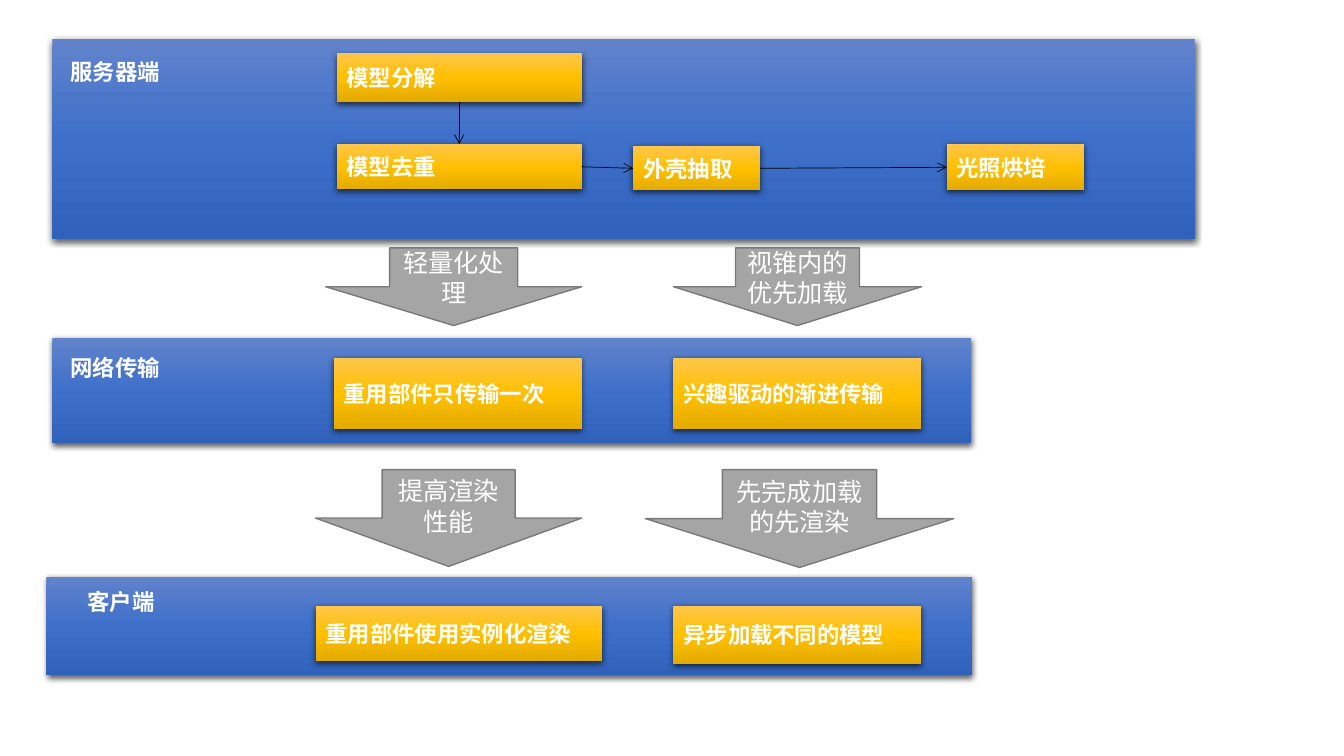
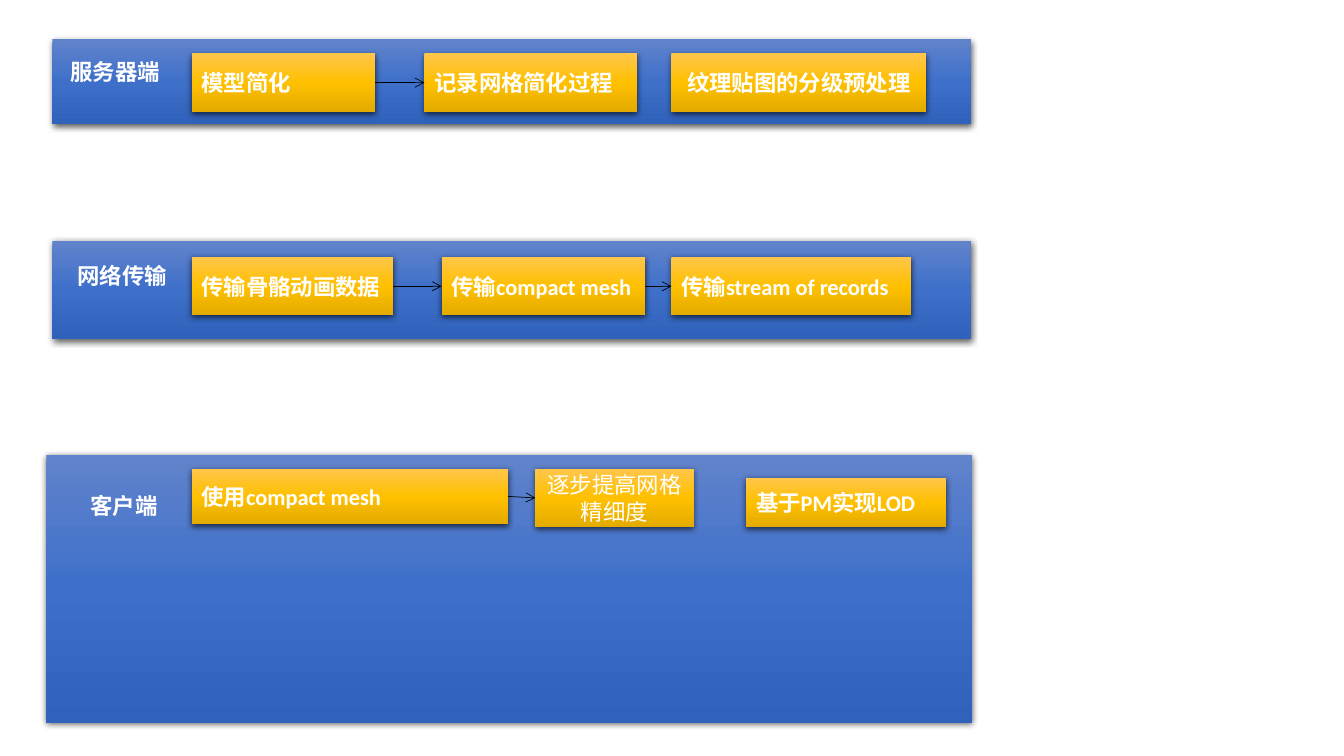
from dataclasses import dataclass, field

from lxml.etree import SubElement
from pptx import Presentation
from pptx.dml.color import RGBColor
from pptx.enum.shapes import MSO_CONNECTOR, MSO_SHAPE
from pptx.enum.text import MSO_ANCHOR, MSO_AUTO_SIZE, PP_ALIGN
from pptx.oxml.ns import qn
from pptx.util import Inches, Pt

WHITE = RGBColor(0xFF, 0xFF, 0xFF)
BLACK = RGBColor(0x00, 0x00, 0x00)
GRAY = RGBColor(0xA5, 0xA5, 0xA5)
GRAY_EDGE = RGBColor(0x7A, 0x7A, 0x7A)
BLUE_STOPS = (RGBColor(0x61, 0x83, 0xCB), RGBColor(0x3E, 0x70, 0xCA), RGBColor(0x30, 0x62, 0xBB))
GOLD_STOPS = (RGBColor(0xFF, 0xC6, 0x4B), RGBColor(0xFF, 0xC0, 0x00), RGBColor(0xE3, 0xAB, 0x00))

STEP_FONT = {"name": "Calibri", "size": Pt(16), "bold": True}
PLAIN_FONT = STEP_FONT | {"bold": False}
CJK_FONT = STEP_FONT | {"name": "Noto Sans CJK SC"}
ARROW_FONT = PLAIN_FONT | {"size": Pt(18)}
SHADOW = {"blurRad": Pt(4.5), "dist": Pt(1.5), "dir": 5400000, "algn": "ctr", "rotWithShape": 0}

TOP, LEFT, BOTTOM, RIGHT = range(4)
ACROSS = (RIGHT, LEFT)
DOWN = (BOTTOM, TOP)


@dataclass
class Step:
    """One text box or step, placed relative to its band."""
    text: str
    box: tuple
    align: PP_ALIGN = PP_ALIGN.LEFT
    font: dict = field(default_factory=lambda: STEP_FONT)


@dataclass
class Band:
    """One stage: its box, label, steps and links between steps."""
    box: tuple
    label: Step
    steps: list
    links: list = field(default_factory=list)


def write_text(shape, text, align, font_format):
    """Write one formatted paragraph into a shape."""
    frame = shape.text_frame
    frame.word_wrap = True
    paragraph = frame.paragraphs[0]
    paragraph.alignment = align
    run = paragraph.add_run()
    run.text = text
    for name, value in font_format.items():
        setattr(run.font, name, value)
    run.font.color.rgb = WHITE
    properties = run._r.get_or_add_rPr()
    SubElement(properties, qn("a:ea"), typeface=font_format["name"])


def add_raised_box(slide, box, colors):
    """Add a rectangle with a vertical gradient and a soft shadow."""
    shape = slide.shapes.add_shape(MSO_SHAPE.RECTANGLE, *map(Inches, box))
    shape.line.fill.background()
    shape.fill.gradient()
    shape.fill.gradient_angle = 270
    shape.shadow.inherit = False
    properties = shape.element.spPr
    stops = properties.find(".//" + qn("a:gsLst"))
    for stop in list(stops):
        stops.remove(stop)
    for index, color in enumerate(colors):
        stop = SubElement(stops, qn("a:gs"), pos=str(index * 50000))
        SubElement(stop, qn("a:srgbClr"), val=str(color))
    effects = properties.find(qn("a:effectLst"))
    shadow = SubElement(effects, qn("a:outerShdw"), {key: str(value) for key, value in SHADOW.items()})
    shadow_color = SubElement(shadow, qn("a:srgbClr"), val=str(BLACK))
    SubElement(shadow_color, qn("a:alpha"), val="63000")
    return shape


def add_link(slide, start, end, sites):
    """Join two steps with a thin arrow."""
    connector = slide.shapes.add_connector(MSO_CONNECTOR.STRAIGHT, 0, 0, 0, 0)
    connector.begin_connect(start, sites[0])
    connector.end_connect(end, sites[1])
    connector.line.color.rgb = BLACK
    connector.line.width = Pt(0.5)
    SubElement(connector.line._get_or_add_ln(), qn("a:tailEnd"), type="arrow")
    SubElement(connector.element.spPr, qn("a:effectLst"))


def add_band(slide, band):
    """Add a blue band with its label, steps and links."""
    left, top = band.box[:2]

    def inside(box):
        """Shift a box from band to slide coordinates."""
        return (left + box[0], top + box[1], *box[2:])

    add_raised_box(slide, band.box, BLUE_STOPS)
    label = slide.shapes.add_textbox(*map(Inches, inside(band.label.box)))
    write_text(label, band.label.text, band.label.align, band.label.font)
    label.text_frame.auto_size = MSO_AUTO_SIZE.SHAPE_TO_FIT_TEXT
    shapes = []
    for step in band.steps:
        shape = add_raised_box(slide, inside(step.box), GOLD_STOPS)
        shape.text_frame.vertical_anchor = MSO_ANCHOR.MIDDLE
        write_text(shape, step.text, step.align, step.font)
        shapes.append(shape)
    for start, end, sites in band.links:
        add_link(slide, shapes[start], shapes[end], sites)


def add_stage_arrow(slide, text, box):
    """Add a gray block arrow leading to the next band."""
    arrow = slide.shapes.add_shape(MSO_SHAPE.DOWN_ARROW, *map(Inches, box))
    arrow.shadow.inherit = False
    arrow.fill.solid()
    arrow.fill.fore_color.rgb = GRAY
    arrow.line.color.rgb = GRAY_EDGE
    arrow.line.width = Pt(1)
    arrow.text_frame.vertical_anchor = MSO_ANCHOR.MIDDLE
    write_text(arrow, text, PP_ALIGN.CENTER, ARROW_FONT)


def server_label(left, top):
    """Describe the server label."""
    return Step("服务器端", (left, top, 1.12, 0.37))


def network_label(left, top):
    """Describe the network label."""
    return Step("网络传输", (left, top, 1.12, 0.37))


def client_label(left, top):
    """Describe the client label."""
    return Step("客户端", (left, top, 1.2, 0.37), PP_ALIGN.CENTER)


MODEL_BANDS = [
    Band((0.52, 0.39, 11.33, 1.98), server_label(0.08, 0.14), [
        Step("模型分解", (2.82, 0.14, 2.43, 0.48)),
        Step("模型去重", (2.82, 1.04, 2.43, 0.45), font=CJK_FONT),
        Step("外壳抽取", (5.76, 1.06, 1.26, 0.44)),
        Step("光照烘培", (8.87, 1.04, 1.36, 0.46)),
    ], [(0, 1, DOWN), (1, 2, ACROSS), (2, 3, ACROSS)]),
    Band((0.52, 3.35, 9.11, 1.05), network_label(0.08, 0.11), [
        Step("重用部件只传输一次", (2.79, 0.2, 2.46, 0.71)),
        Step("兴趣驱动的渐进传输", (6.16, 0.2, 2.46, 0.71)),
    ]),
    Band((0.46, 5.72, 9.18, 0.98), client_label(0.14, 0.07), [
        Step("重用部件使用实例化渲染", (2.67, 0.29, 2.84, 0.55)),
        Step("异步加载不同的模型", (6.22, 0.29, 2.46, 0.58)),
    ]),
]
MODEL_ARROWS = [
    ("轻量化处理", (3.23, 2.46, 2.54, 0.77)),
    ("视锥内的优先加载", (6.68, 2.46, 2.46, 0.77)),
    ("提高渲染性能", (3.13, 4.66, 2.64, 0.96)),
    ("先完成加载的先渲染", (6.4, 4.66, 3.06, 0.97)),
]
MESH_BANDS = [
    Band((0.52, 0.39, 9.11, 0.84), server_label(0.08, 0.14), [
        Step("模型简化", (1.38, 0.14, 1.82, 0.58)),
        Step("记录网格简化过程", (3.69, 0.14, 2.11, 0.58)),
        Step("纹理贴图的分级预处理", (6.14, 0.14, 2.53, 0.58), PP_ALIGN.CENTER, CJK_FONT),
    ], [(0, 1, ACROSS)]),
    Band((0.52, 2.39, 9.11, 0.97), network_label(0.15, 0.16), [
        Step("传输骨骼动画数据", (1.38, 0.16, 2, 0.58)),
        Step("传输compact mesh", (3.86, 0.16, 2.02, 0.58)),
        Step("传输stream of records", (6.14, 0.16, 2.38, 0.58)),
    ], [(0, 1, ACROSS), (1, 2, ACROSS)]),
    Band((0.46, 4.51, 9.18, 2.66), client_label(0.17, 0.32), [
        Step("使用compact mesh", (1.44, 0.14, 3.14, 0.55)),
        Step("逐步提高网格精细度", (4.85, 0.14, 1.57, 0.58), PP_ALIGN.CENTER, PLAIN_FONT),
        Step("基于PM实现LOD", (6.94, 0.23, 1.98, 0.49)),
    ], [(0, 1, ACROSS)]),
]


def add_pipeline_slide(presentation, bands, arrows=()):
    """Add a slide of stacked bands and the arrows between them."""
    slide = presentation.slides.add_slide(presentation.slide_layouts[6])
    for band in bands:
        add_band(slide, band)
    for text, box in arrows:
        add_stage_arrow(slide, text, box)


def main():
    """Build and save the presentation."""
    presentation = Presentation()
    presentation.slide_width = Inches(13.33)
    presentation.slide_height = Inches(7.5)
    add_pipeline_slide(presentation, MODEL_BANDS, MODEL_ARROWS)
    add_pipeline_slide(presentation, MESH_BANDS)
    presentation.save("out.pptx")


if __name__ == "__main__":
    main()
